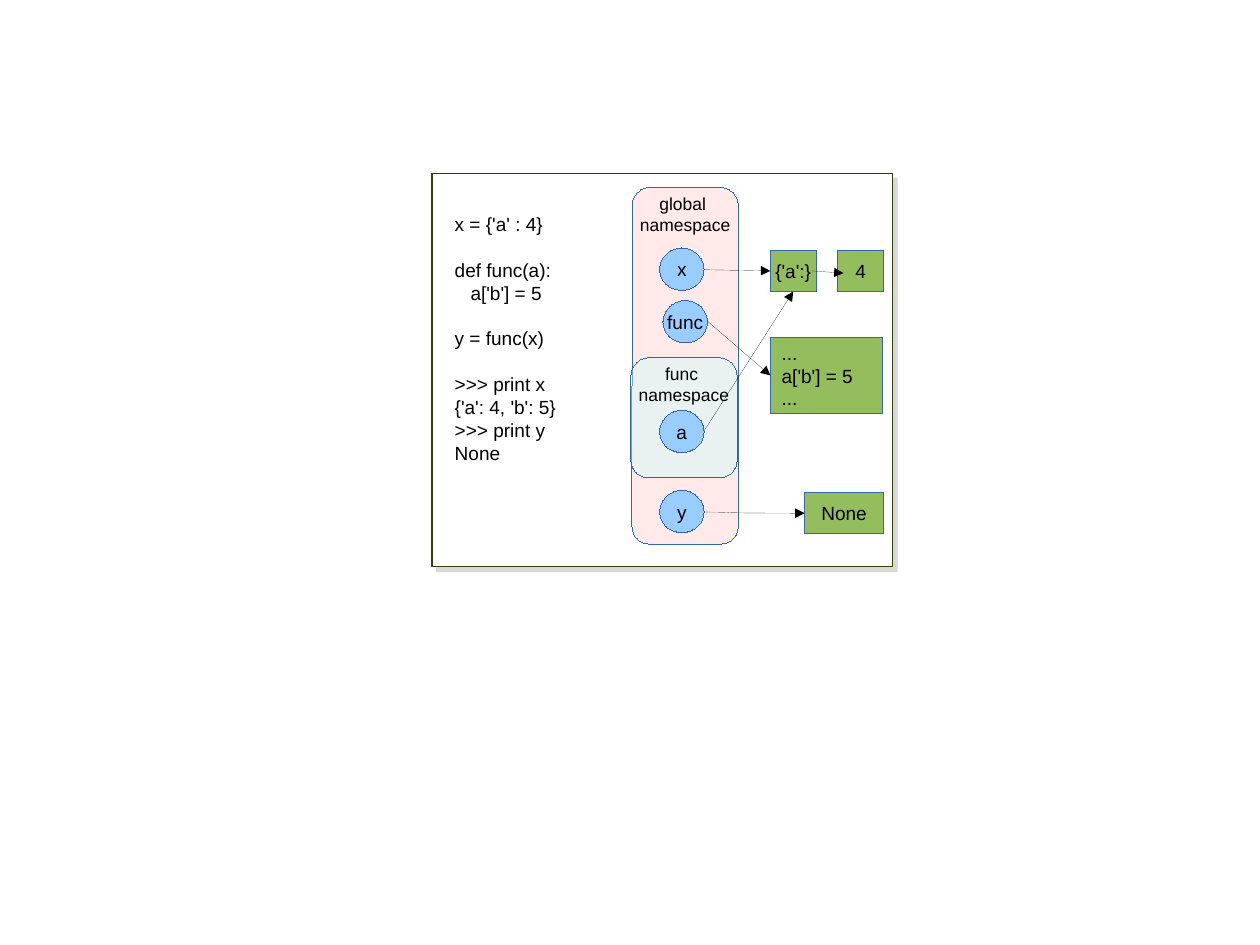
from lxml import etree
from pptx import Presentation
from pptx.dml.color import RGBColor
from pptx.enum.shapes import MSO_CONNECTOR as Link, MSO_SHAPE as Kind
from pptx.enum.text import MSO_ANCHOR as Anchor, PP_ALIGN as Align
from pptx.oxml.ns import qn
from pptx.util import Inches, Pt

BLACK = RGBColor(0x00, 0x00, 0x00)
WHITE = RGBColor(0xFF, 0xFF, 0xFF)
OLIVE = RGBColor(0x31, 0x40, 0x04)
BLUE = RGBColor(0x34, 0x65, 0xAF)
SKY = RGBColor(0x99, 0xCC, 0xFF)
GREEN = RGBColor(0x94, 0xBD, 0x5E)
PINK = RGBColor(0xFF, 0xC8, 0xC8)
CYAN = RGBColor(0xCC, 0xFF, 0xFF)

BODY = {"name": "Arial", "size": Pt(12)}
SMALL = {"name": "Arial", "size": Pt(11)}

CODE = [
    ["x = {'a' : 4}"],
    ["def func(a):", "   a['b'] = 5"],
    ["y = func(x)"],
    [">>> print x", "{'a': 4, 'b': 5}", ">>> print y", "None"],
]
GAP = Pt(14.4)


def add_line(frame, text, first, font=BODY, align=Align.CENTER):
    para = frame.paragraphs[0] if first else frame.add_paragraph()
    para.alignment = align
    run = para.add_run()
    run.text = text
    for name, value in font.items():
        setattr(run.font, name, value)
    run.font.color.rgb = BLACK
    return para


def set_line(shape, color, width=0):
    shape.line.color.rgb = color
    # A zero width is a hairline and has to be written out
    edge = shape.line._get_or_add_ln()
    edge.set("w", str(Pt(width)))
    return edge


def add_box(slide, kind, area, fill, line=BLUE, width=0):
    box = slide.shapes.add_shape(kind, *map(Inches, area))
    box.shadow.inherit = False
    box.fill.solid()
    box.fill.fore_color.rgb = fill
    set_line(box, line, width)
    return box


def add_node(slide, kind, area, fill, lines, align=Align.CENTER):
    node = add_box(slide, kind, area, fill)
    frame = node.text_frame
    frame.word_wrap = align == Align.LEFT
    frame.vertical_anchor = Anchor.MIDDLE
    for i, text in enumerate(lines):
        add_line(frame, text, i == 0, align=align)
    return node


def add_name(slide, left, top, text):
    add_node(slide, Kind.OVAL, (left, top, 0.39, 0.37), SKY, [text])


def add_space(slide, area, fill, lines):
    space = add_box(slide, Kind.ROUNDED_RECTANGLE, area, fill)
    color = space.fill._xPr.find(qn("a:solidFill"))[0]
    etree.SubElement(color, qn("a:alpha"), val="40000")
    frame = space.text_frame
    frame.word_wrap = False
    frame.vertical_anchor = Anchor.TOP
    frame.margin_top = 0
    for i, text in enumerate(lines):
        add_line(frame, text, i == 0, SMALL)


def add_arrow(slide, start, end, goal=None, side=1, kind=Link.STRAIGHT):
    arrow = slide.shapes.add_connector(kind, *map(Inches, start + end))
    if goal is not None:
        arrow.end_connect(goal, side)
    edge = set_line(arrow, BLACK)
    etree.SubElement(edge, qn("a:tailEnd"), type="triangle")
    etree.SubElement(arrow._element.spPr, qn("a:effectLst"))
    return arrow


def add_panel(slide):
    panel = add_box(slide, Kind.RECTANGLE, (3.78, 1.52, 4.03, 3.44), WHITE, OLIVE, 0.71)
    effects = panel._element.spPr.find(qn("a:effectLst"))
    shade = etree.SubElement(effects, qn("a:outerShdw"), dist=str(Pt(4.1)),
                             dir="2700000", algn="tl", rotWithShape="0")
    color = etree.SubElement(shade, qn("a:srgbClr"), val="808080")
    etree.SubElement(color, qn("a:alpha"), val="30000")


def add_code(slide):
    area = (3.88, 1.81, 1.09, 2.73)
    frame = slide.shapes.add_textbox(*map(Inches, area)).text_frame
    frame.word_wrap = False
    for i, block in enumerate(CODE):
        for j, text in enumerate(block):
            para = add_line(frame, text, i + j == 0, align=Align.LEFT)
            if i and j == 0:
                para.space_before = GAP


def main():
    deck = Presentation()
    # 28 by 21 centimetres
    deck.slide_width, deck.slide_height = Inches(28 / 2.54), Inches(21 / 2.54)
    slide = deck.slides.add_slide(deck.slide_layouts[6])

    # Panel and code
    add_panel(slide)
    add_code(slide)

    # Global names
    add_space(slide, (5.53, 1.64, 0.93, 3.12), PINK, ["global ", "namespace"])
    add_name(slide, 5.77, 2.17, "x")
    add_name(slide, 5.8, 2.63, "func")
    add_name(slide, 5.77, 4.29, "y")

    # Objects
    rect = Kind.RECTANGLE
    pair = add_node(slide, rect, (6.74, 2.19, 0.4, 0.36), GREEN, ["{'a':}"])
    add_node(slide, rect, (7.33, 2.19, 0.4, 0.36), GREEN, ["4"])
    body = add_node(slide, rect, (6.74, 2.95, 0.98, 0.67), GREEN,
                    ["...", "a['b'] = 5", "..."], Align.LEFT)
    add_node(slide, rect, (7.04, 4.31, 0.69, 0.36), GREEN, ["None"])
    add_arrow(slide, (6.19, 2.81), (6.74, 3.28), body)

    # Function names
    add_space(slide, (5.52, 3.13, 0.93, 1.05), CYAN, ["func ", "namespace"])
    add_name(slide, 5.77, 3.59, "a")

    # References
    add_arrow(slide, (6.16, 2.36), (6.74, 2.37), pair)
    add_arrow(slide, (6.16, 3.77), (6.94, 2.54), pair, side=2)
    add_arrow(slide, (7.1, 2.37), (7.38, 2.39))
    curve = add_arrow(slide, (6.16, 4.48), (7.04, 4.49), kind=Link.CURVE)
    bend = curve._element.spPr.find(qn("a:prstGeom")).find(qn("a:avLst"))
    etree.SubElement(bend, qn("a:gd"), name="adj1", fmla="val 25000")

    deck.save("out.pptx")


if __name__ == "__main__":
    main()
